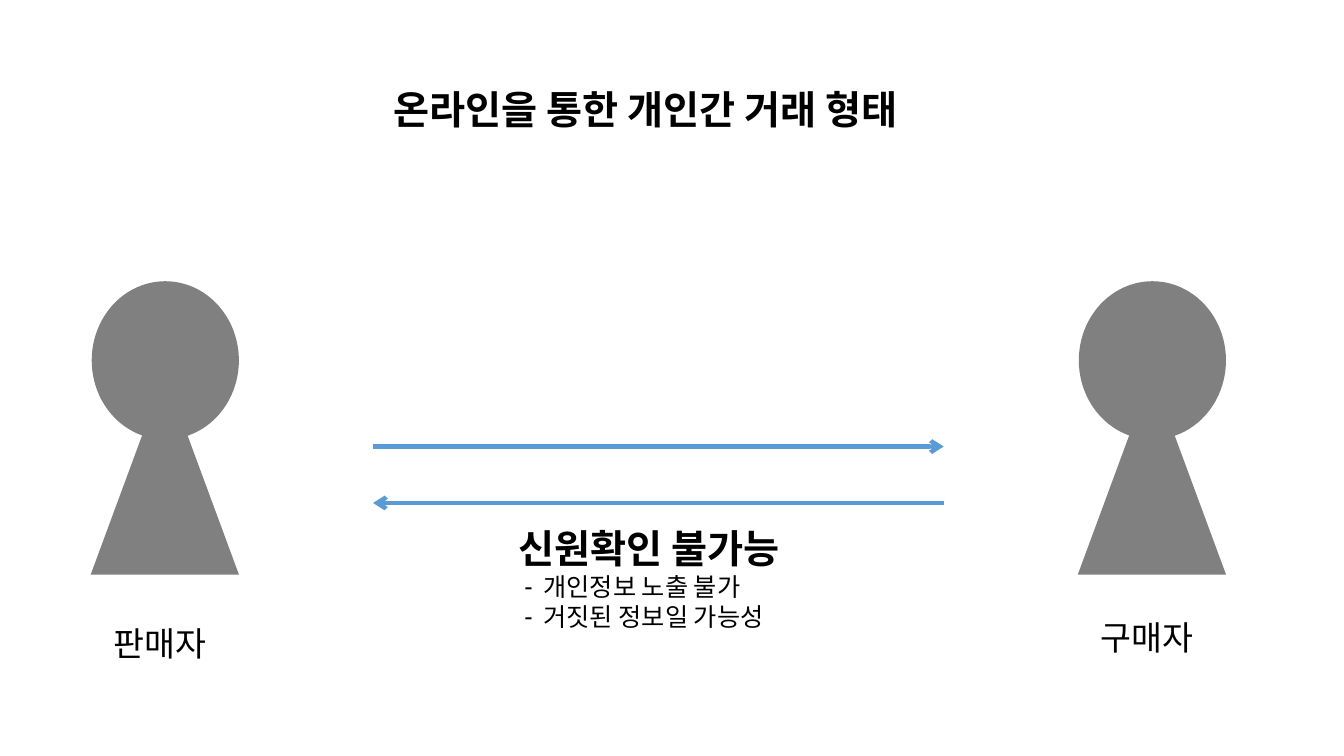
import dataclasses

import pptx
import pptx.dml.color
import pptx.enum.shapes
import pptx.enum.text
import pptx.oxml
import pptx.oxml.ns
import pptx.util
from lxml import etree

Inches = pptx.util.Inches
Kind = pptx.enum.shapes.MSO_SHAPE
qn = pptx.oxml.ns.qn


@dataclasses.dataclass
class Theme:
    face: str = "Noto Sans CJK KR"
    ink: str = "000000"
    gray: str = "808080"
    blue: str = "5B9BD5"
    head: int = 28
    label: int = 24
    item: int = 18
    lead: float = 1.2
    line: int = 3


def tint(text):
    return pptx.dml.color.RGBColor.from_string(text)


class Deck:
    def __init__(self, theme):
        self.theme = theme
        self.file = pptx.Presentation()
        self.file.slide_width = Inches(13.33)
        self.file.slide_height = Inches(7.5)
        self.slide = self.file.slides.add_slide(self.file.slide_layouts[1])

    def style(self, para, size, bold=False, dash=False):
        para.alignment = pptx.enum.text.PP_ALIGN.LEFT
        para.line_spacing = pptx.util.Pt(size * self.theme.lead)
        para.space_before = para.space_after = pptx.util.Pt(0)
        font = para.font
        font.size = pptx.util.Pt(size)
        font.bold = bold
        font.color.rgb = tint(self.theme.ink)
        font.name = self.theme.face
        props = para._p.get_or_add_pPr()
        base = props.find(qn("a:defRPr"))
        etree.SubElement(base, qn("a:ea"), typeface=self.theme.face)
        props.set("marL", str(Inches(0.25) if dash else 0))
        props.set("indent", str(Inches(-0.19) if dash else 0))
        mark = etree.Element(qn("a:buChar" if dash else "a:buNone"))
        if dash:
            mark.set("char", "-")
        base.addprevious(mark)

    def fill(self, shape, box, rows):
        shape.left, shape.top, shape.width, shape.height = map(Inches, box)
        frame = shape.text_frame
        frame.word_wrap = True
        frame.auto_size = pptx.enum.text.MSO_AUTO_SIZE.NONE
        frame.vertical_anchor = pptx.enum.text.MSO_ANCHOR.TOP
        for index, (text, *look) in enumerate(rows):
            para = frame.add_paragraph() if index else frame.paragraphs[0]
            para.text = text
            self.style(para, *look)

    def title(self, box, text):
        self.fill(self.slide.shapes.title, box, [(text, self.theme.head, True)])

    def body(self, box, head, items):
        rows = [(head, self.theme.head, True)]
        rows += [(item, self.theme.item, False, True) for item in items]
        self.fill(self.slide.placeholders[1], box, rows)

    def label(self, box, text):
        shape = self.slide.shapes.add_textbox(*map(Inches, box))
        self.fill(shape, box, [(text, self.theme.label)])

    def shape(self, kind, *box):
        shape = self.slide.shapes.add_shape(kind, *map(Inches, box))
        shape.shadow.inherit = False
        shape.fill.solid()
        shape.fill.fore_color.rgb = tint(self.theme.gray)
        shape.line.fill.background()

    def person(self, left, name, top):
        self.shape(Kind.ISOSCELES_TRIANGLE, left, 3.71, 1.47, 1.99)
        self.shape(Kind.OVAL, left + 0.01, 2.79, 1.46, 1.57)
        self.label((left + 0.13, top, 1.15, 0.5), name)

    def arrow(self, start, end, y):
        line = self.slide.shapes.add_connector(
            pptx.enum.shapes.MSO_CONNECTOR.STRAIGHT,
            Inches(start), Inches(y), Inches(end), Inches(y))
        line.line.color.rgb = tint(self.theme.blue)
        line.line.width = pptx.util.Pt(self.theme.line)
        etree.SubElement(line.line._get_or_add_ln(), qn("a:tailEnd"), type="arrow")
        etree.SubElement(line._element.spPr, qn("a:effectLst"))


def main():
    deck = Deck(Theme())
    deck.title((3.8, 0.8, 5.45, 0.57), "온라인을 통한 개인간 거래 형태")
    deck.person(0.9, "판매자", 6.13)
    deck.person(10.69, "구매자", 6.07)
    deck.arrow(3.7, 9.36, 4.43)
    deck.arrow(9.36, 3.7, 4.99)
    deck.body((5.04, 5.15, 2.9, 1.48), "신원확인 불가능",
              ["개인정보 노출 불가", "거짓된 정보일 가능성"])
    deck.file.save("out.pptx")


if __name__ == "__main__":
    main()
